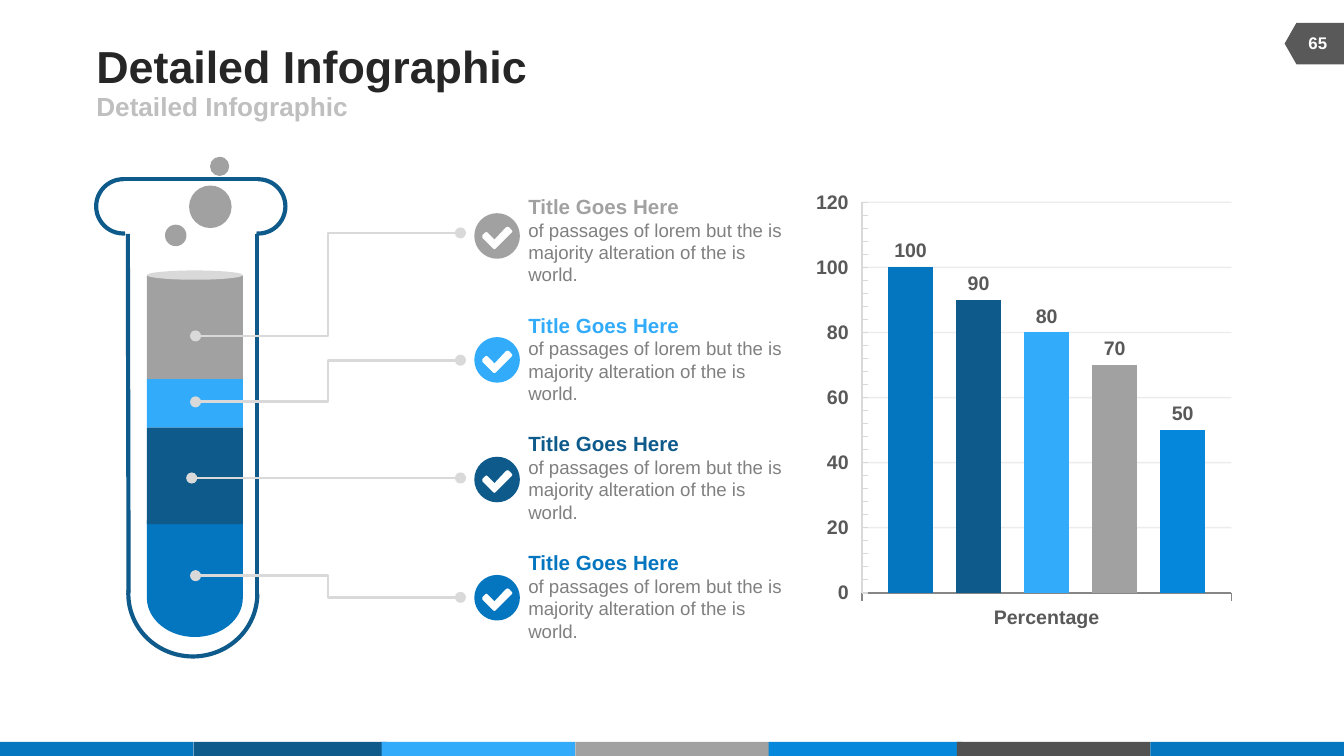
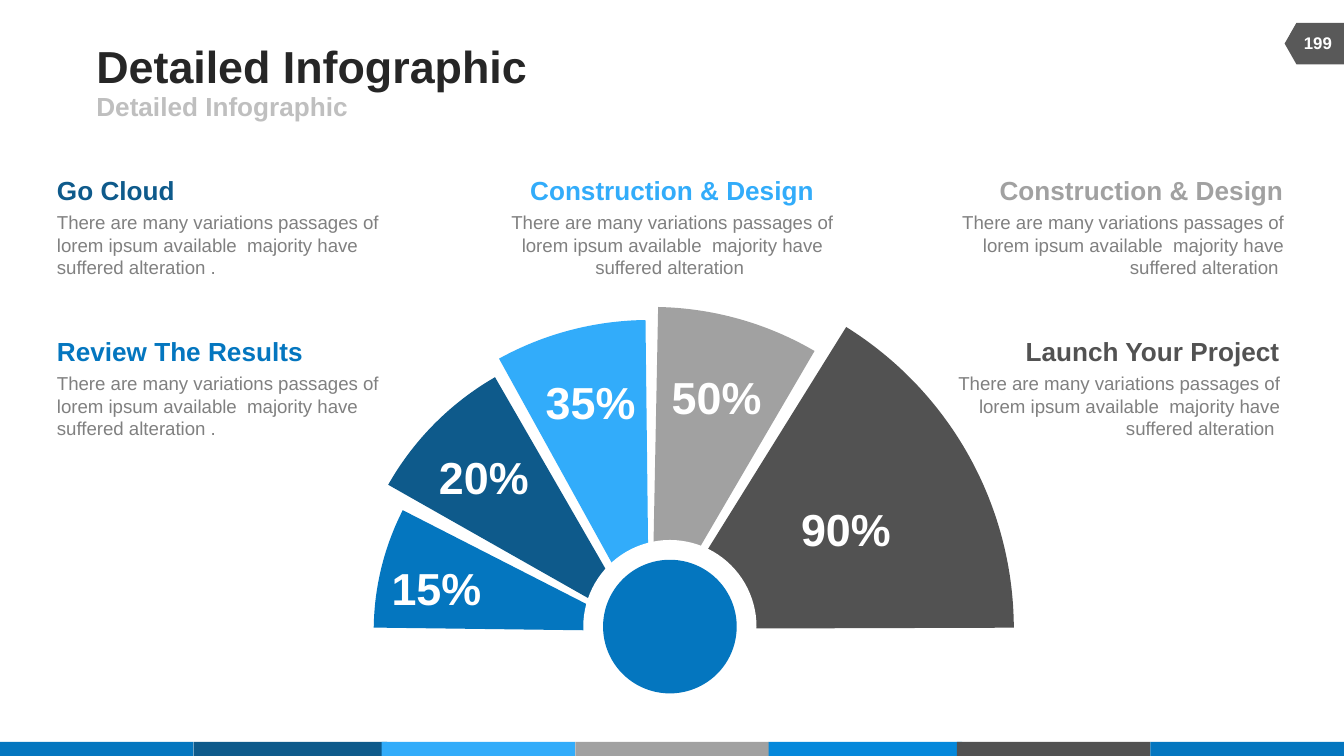
from dataclasses import dataclass
from typing import Any

from lxml.etree import SubElement
from pptx import Presentation
from pptx.chart.data import CategoryChartData
from pptx.dml.color import RGBColor
from pptx.enum.chart import XL_CHART_TYPE, XL_LABEL_POSITION, XL_TICK_LABEL_POSITION, XL_TICK_MARK
from pptx.enum.shapes import MSO_CONNECTOR, MSO_SHAPE
from pptx.enum.text import MSO_ANCHOR, MSO_AUTO_SIZE, PP_ALIGN
from pptx.oxml.ns import qn
from pptx.util import Pt

BLUE, NAVY, SKY, GRAY = "0476BF", "0E5A8B", "32ACFA", "A1A1A1"
AZURE, CHARCOAL, SILVER, WHITE = "0588DB", "525252", "D9D9D9", "FFFFFF"
COPY_GRAY, TAG_GRAY = "808080", "595959"

STRIPES = [(0, BLUE), (103.7, NAVY), (204.5, SKY), (308.2, GRAY),
           (411.8, AZURE), (512.6, CHARCOAL), (616.3, BLUE)]
CHECK = [(7.9, -3.2), (6.5, -4.7), (5.8, -5), (4.7, -4.7), (-1.4, 1.8), (-5, -1.8),
         (-5.8, -2.2), (-6.5, -1.8), (-7.9, -0.4), (-7.9, 1.1), (-2.2, 6.8),
         (-1.4, 7.2), (-0.7, 6.8), (7.9, -1.8), (8.3, -2.5)]
NO_INSETS = {"margin_left": 0, "margin_right": 0, "margin_top": 0, "margin_bottom": 0}

Box = tuple[float, float, float, float]
Point = tuple[float, float]
Segment = list[Point]


@dataclass
class Line:
    text: str
    size: float
    color: str
    bold: bool = False
    align: PP_ALIGN = PP_ALIGN.LEFT


@dataclass
class Layer:
    color: str
    check_y: float
    start: Point
    end_y: float


@dataclass
class Slice:
    label: str
    color: str
    left: float
    top: float
    size: float
    start: float
    end: float
    label_at: Point


@dataclass
class Blurb:
    heading: str
    ending: str
    color: str
    left: float
    top: float
    heading_width: float
    align: PP_ALIGN


LAYERS = [
    Layer(GRAY, 126.4, (104.8, 180), 124.8),
    Layer(SKY, 192.8, (104.8, 215.3), 193),
    Layer(NAVY, 256.9, (102.7, 256.1), 256.1),
    Layer(BLUE, 320.2, (104.8, 308.4), 320),
]
SLICES = [
    Slice("20%", NAVY, 187.9, 181.4, 308.9, 329.54, 0.03, (235.1, 241.2)),
    Slice("35%", SKY, 181.4, 171.4, 332.6, 1.1, 29.34, (292.3, 200.9)),
    Slice("50%", GRAY, 176.4, 164.4, 345.6, 31.12, 60.29, (359.8, 198)),
    Slice("90%", CHARCOAL, 162.2, 146.4, 380.9, 61.9, 119.82, (429.1, 268.6)),
    Slice("15%", BLUE, 200.2, 195.8, 284.4, 300.73, 327.07, (209.7, 300.2)),
]
BLURBS = [
    Blurb("Go Cloud", ".", NAVY, 30.5, 93.6, 63.4, PP_ALIGN.LEFT),
    Blurb("Review The Results", ".", BLUE, 30.5, 179.8, 132.5, PP_ALIGN.LEFT),
    Blurb("Construction & Design", "", SKY, 270.4, 93.6, 152.6, PP_ALIGN.CENTER),
    Blurb("Construction & Design", "", GRAY, 508.3, 93.6, 152.6, PP_ALIGN.RIGHT),
    Blurb("Launch Your Project", "", CHARCOAL, 506.2, 179.8, 136.8, PP_ALIGN.RIGHT),
]


def rgb(color: str) -> RGBColor:
    return RGBColor.from_string(color)


def set_all(target: Any, values: dict[str, Any]) -> None:
    for attribute, value in values.items():
        setattr(target, attribute, value)


def pts(values: Box) -> list[int]:
    return [Pt(value) for value in values]


def set_font(font: Any, size: float, color: str, bold: bool) -> None:
    set_all(font, {"name": "Arial", "size": Pt(size), "bold": bold})
    font.color.rgb = rgb(color)


def write(frame: Any, lines: list[Line], **settings: Any) -> None:
    set_all(frame, settings)
    for index, line in enumerate(lines):
        paragraph = frame.add_paragraph() if index else frame.paragraphs[0]
        set_all(paragraph, {"alignment": line.align, "space_before": Pt(0)})
        run = paragraph.add_run()
        run.text = line.text
        set_font(run.font, line.size, line.color, line.bold)


def add_text(slide: Any, box: Box, lines: list[Line], **settings: Any) -> None:
    write(slide.shapes.add_textbox(*pts(box)).text_frame, lines, **settings)


def paint(shape: Any, fill: str | None, outline: str | None = None) -> None:
    shape.shadow.inherit = False
    if fill:
        shape.fill.solid()
        shape.fill.fore_color.rgb = rgb(fill)
    else:
        shape.fill.background()
    if outline:
        shape.line.color.rgb = rgb(outline)
        shape.line.width = Pt(2.25)
    else:
        shape.line.fill.background()


def add_preset(slide: Any, preset: MSO_SHAPE, box: Box, fill: str | None, outline: str | None = None,
               rotation: float = 0, angles: tuple[float, ...] = ()) -> None:
    shape = slide.shapes.add_shape(preset, *pts(box))
    shape.rotation = rotation
    for index, degrees in enumerate(angles):
        shape.adjustments[index] = degrees * 0.6
    paint(shape, fill, outline)


def quarter_turns(center: Point, rx: float, ry: float, count: int) -> list[Segment]:
    axes = [(1, 0), (0, 1), (-1, 0), (0, -1), (1, 0)]
    turns = []
    for (ax, ay), (bx, by) in list(zip(axes, axes[1:]))[:count]:
        units = [(ax + 0.55 * bx, ay + 0.55 * by), (bx + 0.55 * ax, by + 0.55 * ay), (bx, by)]
        turns.append([(center[0] + rx * x, center[1] + ry * y) for x, y in units])
    return turns


def add_outline(slide: Any, contours: list[tuple[Point, list[Segment]]], fill: str) -> None:
    builder = slide.shapes.build_freeform(*pts(contours[0][0]), scale=1.0)
    for index, (start, segments) in enumerate(contours):
        if index:
            builder.move_to(*pts(start))
        builder.add_line_segments([tuple(pts(point)) for segment in segments for point in segment], close=True)
    shape = builder.convert_to_shape()
    steps = iter(shape._element.xpath(".//a:lnTo"))
    for segment in (segment for _, segments in contours for segment in segments):
        group = [next(steps) for _ in segment]
        if len(group) == 3:
            curve = SubElement(group[0].getparent(), qn("a:cubicBezTo"))
            group[0].addprevious(curve)
            for step in group:
                curve.append(step[0])
                step.getparent().remove(step)
    paint(shape, fill)


def add_line(slide: Any, start: Point, end: Point, color: str, width: float,
             kind: MSO_CONNECTOR = MSO_CONNECTOR.STRAIGHT, dots: bool = False) -> None:
    connector = slide.shapes.add_connector(kind, *pts((*start, *end)))
    connector.line.color.rgb = rgb(color)
    connector.line.width = Pt(width)
    properties = connector._element.spPr
    if dots:
        for tag in ("a:headEnd", "a:tailEnd"):
            SubElement(properties.find(qn("a:ln")), qn(tag), type="oval")
    SubElement(properties, qn("a:effectLst"))


def add_base(deck: Any, page: str) -> Any:
    slide = deck.slides.add_slide(deck.slide_layouts[1])
    for left, color in STRIPES:
        add_preset(slide, MSO_SHAPE.RECTANGLE, (left, 397.5, 103.7, 7.5), color)
    add_preset(slide, MSO_SHAPE.FLOWCHART_OFFPAGE_CONNECTOR, (692.9, 7.5, 22.3, 31.7), TAG_GRAY, rotation=90)
    title, subtitle = slide.placeholders
    for holder, box, size, color in ((title, (51.6, 20.9, 444.2, 28.1), 24, "262626"),
                                     (subtitle, (51.6, 49, 324, 15.8), 14, "BFBFBF")):
        set_all(holder, dict(zip(("left", "top", "width", "height"), pts(box))))
        properties = holder.text_frame.paragraphs[0]._p.get_or_add_pPr()
        set_all(properties, {"marL": 0, "indent": 0})
        SubElement(properties, qn("a:buNone"))
        write(holder.text_frame, [Line("Detailed Infographic", size, color, True)], word_wrap=False,
              auto_size=MSO_AUTO_SIZE.NONE, vertical_anchor=MSO_ANCHOR.MIDDLE, **NO_INSETS)
    add_text(slide, (690.9, 12.2, 30.2, 21.6), [Line(page, 9, WHITE, True, PP_ALIGN.CENTER)],
             word_wrap=True, vertical_anchor=MSO_ANCHOR.MIDDLE)
    return slide


def add_tube(slide: Any) -> None:
    left, width = 78.7, 51.4
    right, bend = left + width, 320.4
    bowl = quarter_turns((left + width / 2, bend), width / 2, 20.9, 2)
    add_outline(slide, [((left, 278.6), [[(right, 278.6)], [(right, bend)], *bowl])], BLUE)
    for top, height, color in ((229, 51.8, NAVY), (203, 26, SKY), (147.6, 55.4, GRAY)):
        add_preset(slide, MSO_SHAPE.RECTANGLE, (left, top, width, height), color)
    add_preset(slide, MSO_SHAPE.OVAL, (left, 144.9, width, 5), SILVER)
    for box, rotation, angles in (((69.8, 283.7, 67, 69.1), 90, (270, 93.04)),
                                  ((123.8, 96, 29.1, 29.1), 0, (270, 93.66)),
                                  ((51.5, 96, 29.1, 29.1), 0, (86.34, 270))):
        add_preset(slide, MSO_SHAPE.ARC, box, None, NAVY, rotation, angles)
    for start, end in (((68.9, 317.5), (68.5, 125.3)), ((137.5, 319), (137.5, 125.3)),
                       ((139, 96), (66, 96))):
        add_line(slide, start, end, NAVY, 2.25)
    for x, y, size in ((101.3, 99.4, 22.8), (88.4, 120.4, 11.5), (112.5, 84, 10.3)):
        add_preset(slide, MSO_SHAPE.OVAL, (x, y, size, size), GRAY)


def add_layer(slide: Any, layer: Layer, top: float) -> None:
    end = (246.7, layer.end_y)
    kind = MSO_CONNECTOR.STRAIGHT if layer.start[1] == layer.end_y else MSO_CONNECTOR.ELBOW
    add_line(slide, layer.start, end, SILVER, 1.5, kind, dots=True)
    add_text(slide, (283, top, 136.1, 49.7), [
        Line("Title Goes Here", 11, layer.color, True),
        Line("of passages of lorem but the is majority alteration of the is world.", 10, COPY_GRAY),
    ], word_wrap=True, auto_size=MSO_AUTO_SIZE.SHAPE_TO_FIT_TEXT, **NO_INSETS)
    center, radius = (266.3, layer.check_y), 12.2
    tick = [(center[0] + x, center[1] + y) for x, y in CHECK]
    add_outline(slide, [((center[0] + radius, center[1]), quarter_turns(center, radius, radius, 4)),
                        (tick[0], [[point] for point in tick[1:]])], layer.color)


def add_percentages(slide: Any) -> None:
    colors = [BLUE, NAVY, SKY, GRAY, AZURE]
    figures = CategoryChartData()
    figures.categories = ["Percentage"]
    for number, value in enumerate((100, 90, 80, 70, 50), 1):
        figures.add_series(f"Series {number}", [value])
    chart = slide.shapes.add_chart(XL_CHART_TYPE.COLUMN_CLUSTERED, *pts((432.5, 97.5, 231.8, 244.1)),
                                   figures).chart
    set_all(chart, {"has_title": False, "has_legend": False})
    set_font(chart.font, 10.5, TAG_GRAY, True)
    columns = chart.plots[0]
    set_all(columns, {"gap_width": 115, "overlap": -50, "vary_by_categories": False})
    for series, color in zip(columns.series, colors):
        series.format.fill.solid()
        series.format.fill.fore_color.rgb = rgb(color)
        set_all(series.data_labels, {"show_value": True, "position": XL_LABEL_POSITION.OUTSIDE_END})
    scale, category = chart.value_axis, chart.category_axis
    set_all(scale, {"minimum_scale": 0, "maximum_scale": 120, "major_unit": 20, "minor_unit": 4,
                    "major_tick_mark": XL_TICK_MARK.NONE, "minor_tick_mark": XL_TICK_MARK.INSIDE,
                    "tick_label_position": XL_TICK_LABEL_POSITION.LOW, "has_major_gridlines": True})
    category.major_tick_mark = XL_TICK_MARK.OUTSIDE
    for part, color in ((scale, SILVER), (scale.major_gridlines, SILVER), (category, "868686")):
        part.format.line.color.rgb = rgb(color)
        part.format.line.width = Pt(0.75)
    for tint in chart.element.xpath("//c:majorGridlines//a:srgbClr"):
        SubElement(tint, qn("a:alpha"), val="48000")


def add_blurb(slide: Any, blurb: Blurb) -> None:
    width = 179.3
    shift = {PP_ALIGN.LEFT: 0, PP_ALIGN.CENTER: 0.5, PP_ALIGN.RIGHT: 1}[blurb.align]
    left = blurb.left + (width - blurb.heading_width) * shift
    copy = "There are many variations passages of lorem ipsum available  majority have suffered alteration "
    add_text(slide, (blurb.left, blurb.top + 19.5, width, 36),
             [Line(copy + blurb.ending, 10, COPY_GRAY, align=blurb.align)],
             word_wrap=True, auto_size=MSO_AUTO_SIZE.SHAPE_TO_FIT_TEXT, **NO_INSETS)
    add_text(slide, (left, blurb.top, blurb.heading_width, 17.3),
             [Line(blurb.heading, 14, blurb.color, True, blurb.align)],
             word_wrap=False, auto_size=MSO_AUTO_SIZE.SHAPE_TO_FIT_TEXT, **NO_INSETS)


def add_fan(slide: Any) -> None:
    for part in SLICES:
        add_preset(slide, MSO_SHAPE.PIE, (part.left, part.top, part.size, part.size), part.color,
                   rotation=240, angles=(part.start, part.end))
    for radius, color in ((46.4, WHITE), (35.8, BLUE)):
        add_preset(slide, MSO_SHAPE.OVAL, (358.9 - radius, 335.7 - radius, 2 * radius, 2 * radius), color)
    for part in SLICES:
        add_text(slide, (*part.label_at, 48.2, 28.8), [Line(part.label, 24, WHITE, True, PP_ALIGN.CENTER)],
                 word_wrap=False, auto_size=MSO_AUTO_SIZE.SHAPE_TO_FIT_TEXT,
                 vertical_anchor=MSO_ANCHOR.MIDDLE, **NO_INSETS)


def main() -> None:
    deck = Presentation()
    set_all(deck, {"slide_width": Pt(720), "slide_height": Pt(405)})

    tube_slide = add_base(deck, "65")
    add_tube(tube_slide)
    for index, layer in enumerate(LAYERS):
        add_layer(tube_slide, layer, 103.8 + 63.6 * index)
    add_percentages(tube_slide)

    fan_slide = add_base(deck, "199")
    add_fan(fan_slide)
    for blurb in BLURBS:
        add_blurb(fan_slide, blurb)

    deck.save("out.pptx")


if __name__ == "__main__":
    main()
